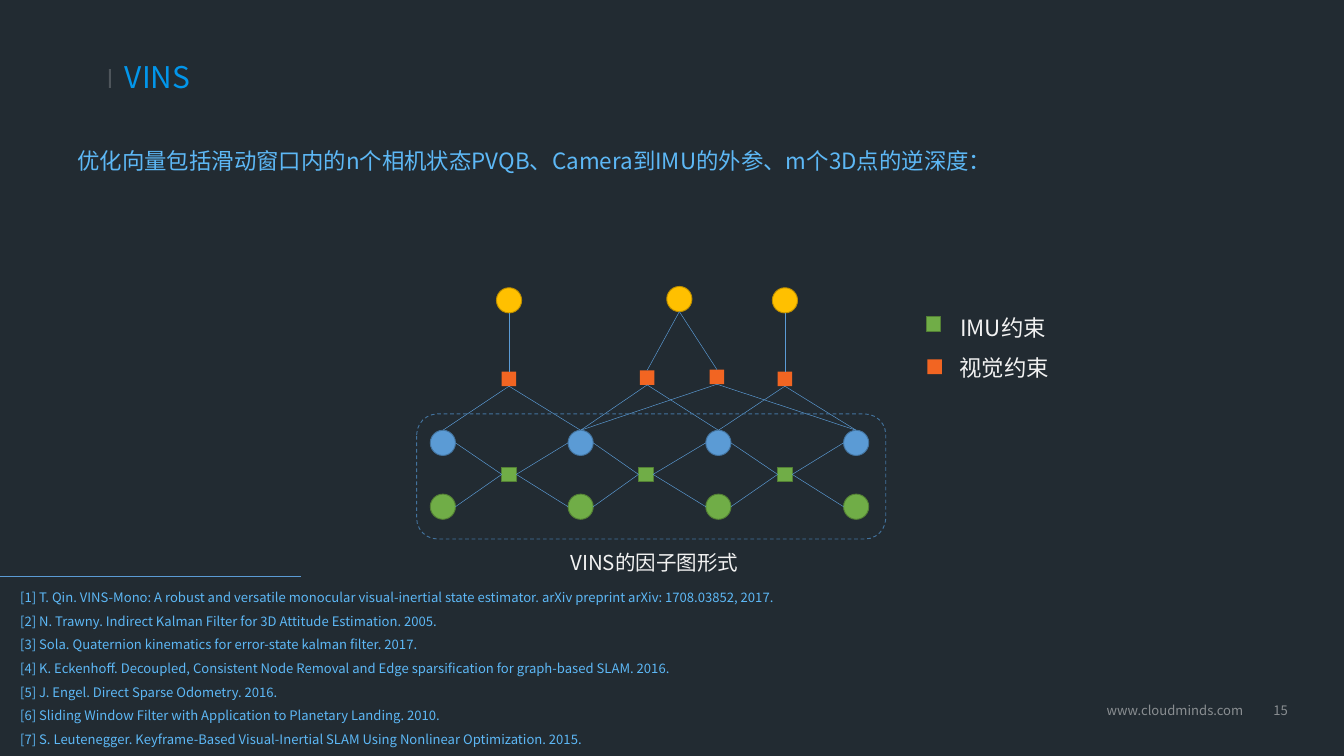
"""Build the VINS factor graph slide."""
from lxml.etree import SubElement
from pptx import Presentation
from pptx.dml.color import RGBColor as RGB
from pptx.enum.dml import MSO_LINE as Dash
from pptx.enum.shapes import MSO_CONNECTOR as Conn, MSO_SHAPE as Geo
from pptx.enum.text import MSO_ANCHOR as Anchor, MSO_AUTO_SIZE as Auto, PP_ALIGN as Align
from pptx.oxml.ns import qn
from pptx.util import Pt

FONT = "Noto Sans CJK SC"
HEX = {
    "back": "222B32", "white": "FFFFFF", "pale": "F2F2F2", "title": "0296EB",
    "sky": "5DB8F6", "blue": "5B9BD5", "navy": "43739E", "green": "70AD47",
    "moss": "538035", "gold": "FFC000", "brown": "BD8E00", "orange": "F26522",
}
DOT, BOX = 27, 15.6

deck = Presentation()
deck.slide_width, deck.slide_height = Pt(1440), Pt(810)
slide = deck.slides.add_slide(deck.slide_layouts[1])
slide.background.fill.solid()
slide.background.fill.fore_color.rgb = RGB.from_string(HEX["back"])
shapes = slide.shapes


def draw(geo, x, y, w, h, fill=None, edge=None):
    """Add a preset shape centred on x, y."""
    item = shapes.add_shape(geo, Pt(x - w / 2), Pt(y - h / 2), Pt(w), Pt(h))
    item.shadow.inherit = False
    if fill:
        item.fill.solid()
        item.fill.fore_color.rgb = RGB.from_string(HEX[fill])
    else:
        item.fill.background()
    if edge:
        item.line.color.rgb = RGB.from_string(HEX[edge])
        item.line.width = Pt(1)
    else:
        item.line.fill.background()
    return item


def link(x1, y1, x2, y2):
    """Add a thin blue line."""
    line = shapes.add_connector(Conn.STRAIGHT, Pt(x1), Pt(y1), Pt(x2), Pt(y2))
    line.line.color.rgb = RGB.from_string(HEX["blue"])
    line.line.width = Pt(0.5)
    SubElement(line.element.spPr, qn("a:effectLst"))


bar = draw(Geo.RECTANGLE, 117.7, 84.2, 2, 20, "white")

cols = [474.5 + 147.6 * i for i in range(4)]
pose_y, bias_y, imu_y = 474.5, 542.9, 508.3
for x in cols:
    draw(Geo.OVAL, x, pose_y, DOT, DOT, "blue", "navy")
    draw(Geo.OVAL, x, bias_y, DOT, DOT, "green", "moss")

for x, left, right in zip((545.4, 691.9, 841), cols, cols[1:]):
    draw(Geo.RECTANGLE, x, imu_y, BOX, BOX, "green", "moss")
    for y in (pose_y, bias_y):
        link(left + DOT / 2, y, x - BOX / 2, imu_y)
        link(x + BOX / 2, imu_y, right - DOT / 2, y)

marks = [(545.4, 321.8), (727.9, 320.4), (841, 321.8)]
for x, y in marks:
    draw(Geo.OVAL, x, y, DOT, DOT, "gold", "brown")

views = [(545.4, 406, 0, (0, 1)), (693.4, 404.6, 1, (1, 2)),
         (768.2, 403.9, 1, (1, 3)), (841, 406, 2, (2, 3))]
for x, y, mark, ends in views:
    draw(Geo.RECTANGLE, x, y, BOX, BOX, "orange")
    top_x, top_y = marks[mark]
    link(top_x, top_y + DOT / 2, x, y - BOX / 2)
    for end in ends:
        link(x, y + BOX / 2, cols[end], pose_y - DOT / 2)

draw(Geo.RECTANGLE, 1000, 347, BOX, BOX, "green", "moss")
draw(Geo.RECTANGLE, 1001.4, 393, BOX, BOX, "orange")
frame = draw(Geo.ROUNDED_RECTANGLE, 697.7, 510.5, 502.6, 134, None, "navy")
frame.line.dash_style = Dash.DASH
link(0, 617, 322.6, 617)

refs = [
    "[1] T. Qin. VINS-Mono: A robust and versatile monocular visual-inertial state estimator. arXiv preprint arXiv: 1708.03852, 2017.",
    "[2] N. Trawny. Indirect Kalman Filter for 3D Attitude Estimation. 2005.",
    "[3] Sola. Quaternion kinematics for error-state kalman filter. 2017.",
    "[4] K. Eckenhoff. Decoupled, Consistent Node Removal and Edge sparsification for graph-based SLAM. 2016.",
    "[5] J. Engel. Direct Sparse Odometry. 2016.",
    "[6] Sliding Window Filter with Application to Planetary Landing. 2010.",
    "[7] S. Leutenegger. Keyframe-Based Visual-Inertial SLAM Using Nonlinear Optimization. 2015.",
]
title, body = shapes.title, slide.placeholders[1]
lead, imu, view, note, web, num = [shapes.add_textbox(0, 0, 0, 0) for _ in range(6)]
texts = [
    (title, (126.7, 69, 243.4, 30.2), ["VINS"], 32, "title", Align.LEFT, 0.9),
    (body, (14.4, 620, 975, 185), refs, 14, "sky", Align.JUSTIFY, 1.5),
    (lead, (54.7, 139.7, 1242.7, 51), ["优化向量包括滑动窗口内的n个相机状态PVQB、Camera到IMU的外参、m个3D点的逆深度："],
     24, "sky", Align.JUSTIFY, 1.5),
    (imu, (1021.7, 318.2, 92.2, 69), ["IMU约束"], 24, "pale", Align.LEFT, 1.5),
    (view, (1021, 361.4, 118.8, 57.6), ["视觉约束"], 24, "pale", Align.LEFT, 1.5),
    (note, (555.8, 585.4, 290.2, 33.8), ["VINS的因子图形式"], 22, "pale", Align.CENTER, 1),
    (web, (1185.8, 748.8, 162.7, 34.6), ["www.cloudminds.com"], 14, "pale", Align.LEFT, 1),
    (num, (1357.2, 748.8, 40.3, 34.6), ["15"], 14, "pale", Align.LEFT, 1),
]
for item, place, lines, size, tint, align, space in texts:
    item.left, item.top, item.width, item.height = map(Pt, place)
    area = item.text_frame
    area.text = "\n".join(lines)
    area.word_wrap = item not in (imu, view)
    area.auto_size = Auto.NONE
    for par in area.paragraphs:
        par.alignment = align
        par.line_spacing = space
        par.space_before = Pt(0)
        prop = par._p.get_or_add_pPr()
        prop.set("marL", "0")
        prop.set("indent", str(Pt(21 if item is lead else 0)))
        SubElement(prop, qn("a:buNone"))
        par.font.size = Pt(size)
        par.font.name = FONT
        par.font.color.rgb = RGB.from_string(HEX[tint])
        SubElement(prop.find(qn("a:defRPr")), qn("a:ea")).set("typeface", FONT)

title.text_frame.vertical_anchor = Anchor.MIDDLE
web.text_frame.margin_left = 0
for item, alpha in ((bar, 20), (web, 50), (num, 50)):
    tint = item.element.find(".//" + qn("a:srgbClr"))
    SubElement(tint, qn("a:alpha")).set("val", str(alpha * 1000))

deck.save("out.pptx")
